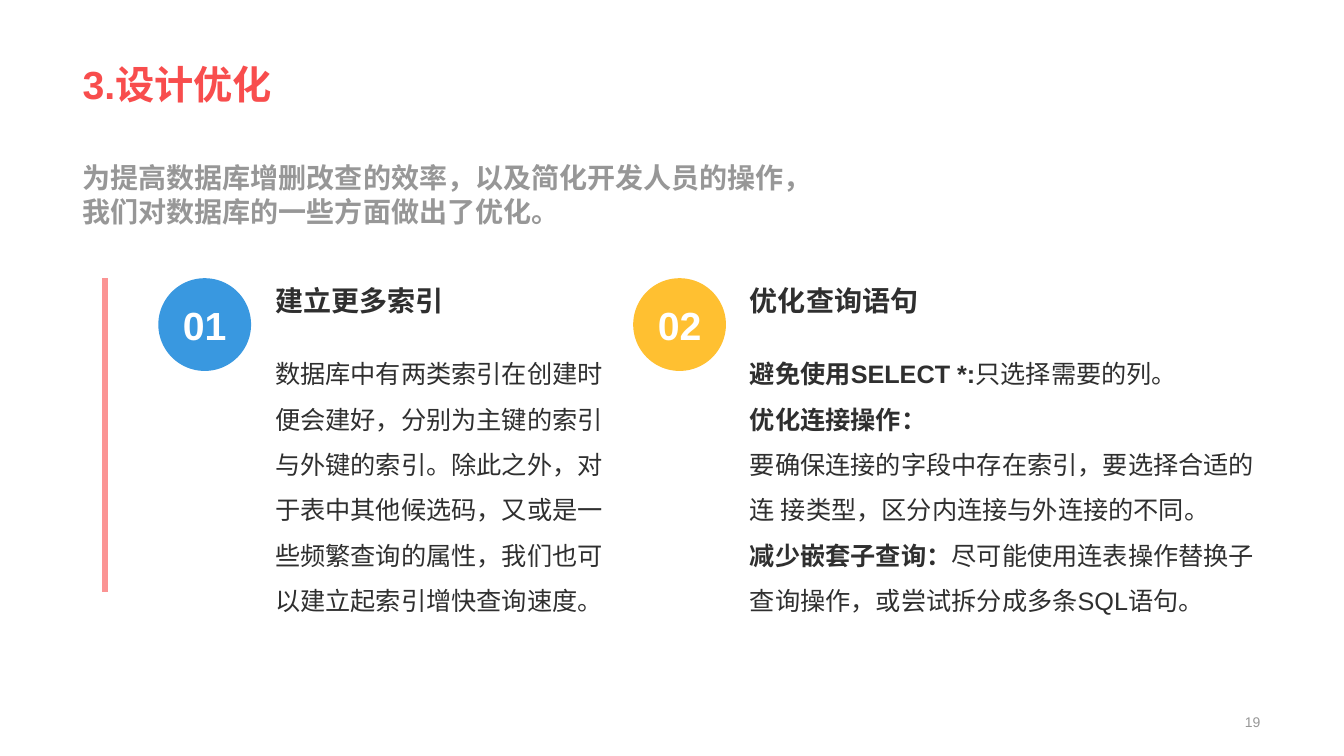
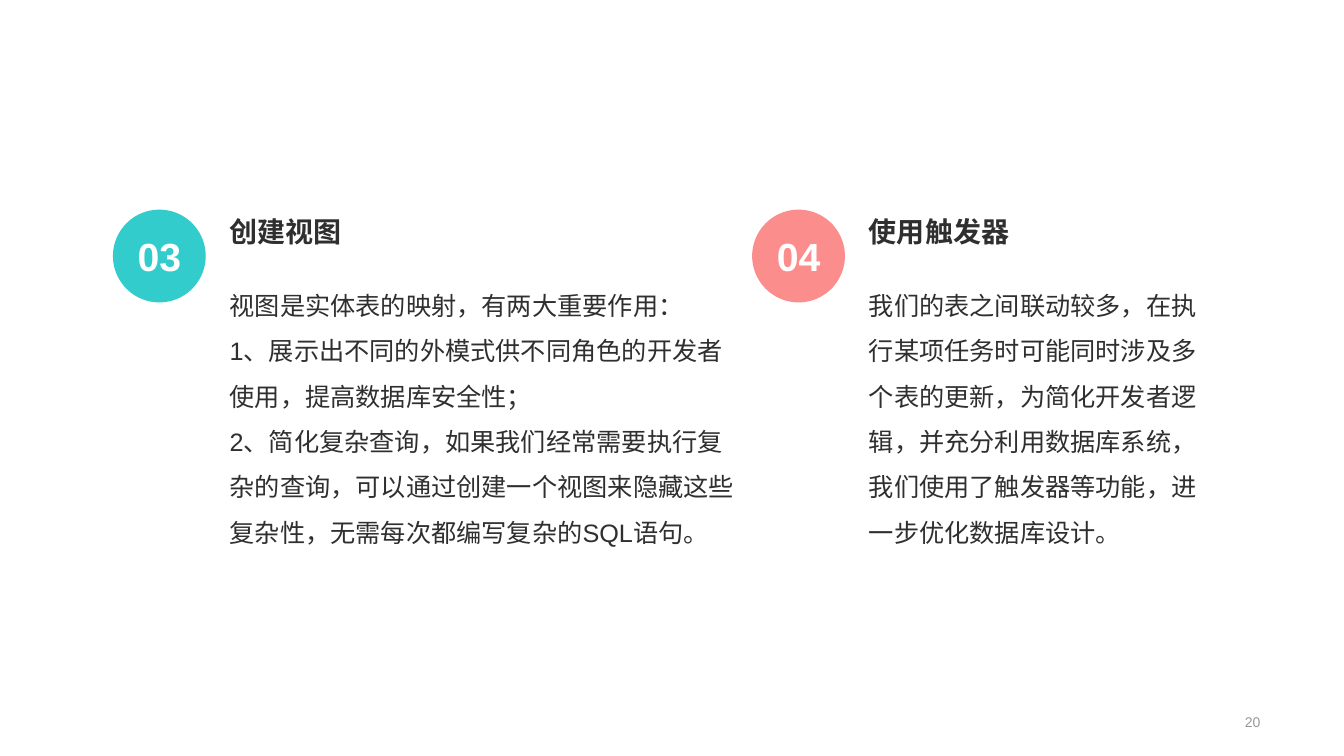
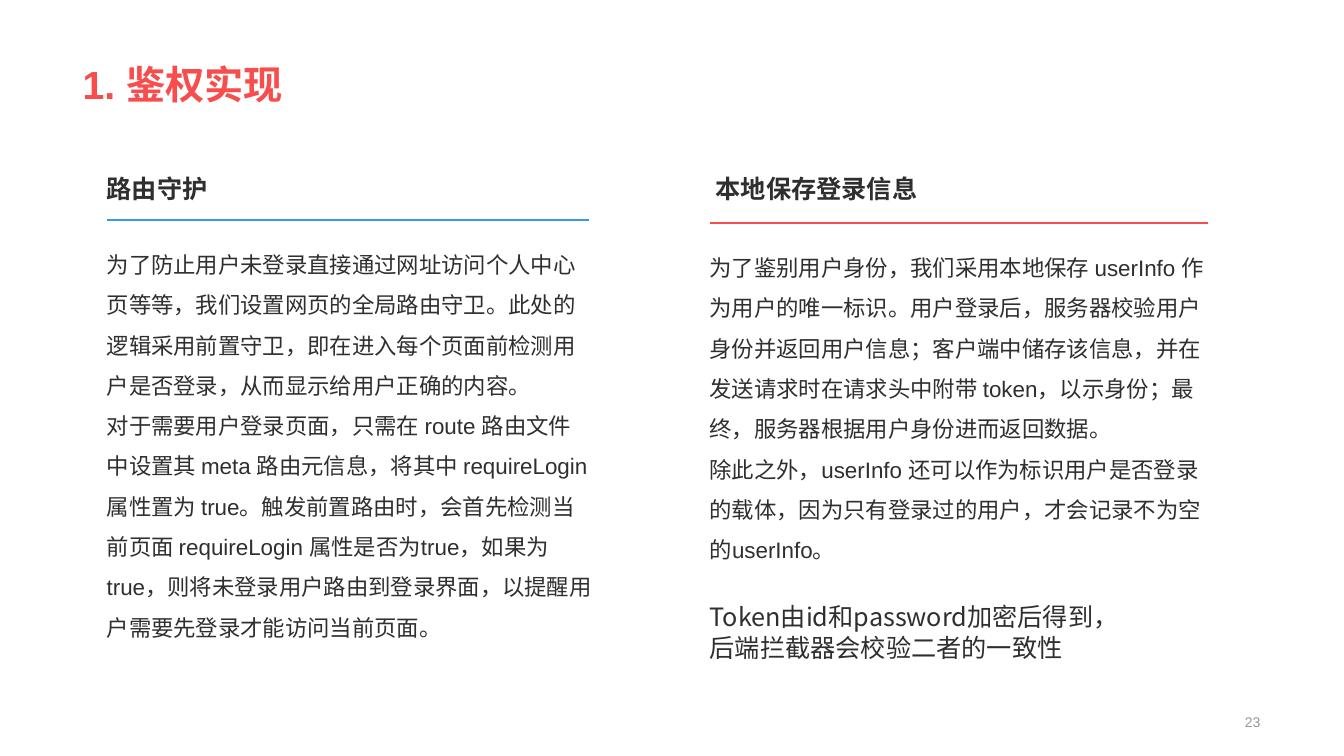
import pptx
import pptx.dml.color
import pptx.enum.shapes
import pptx.enum.text
import pptx.oxml.ns
import pptx.util
import lxml.etree

ALIGN = pptx.enum.text.PP_ALIGN
ANCHOR = pptx.enum.text.MSO_ANCHOR
TITLE_ONLY, BLANK = 5, 6

THEME = {
    "red": "F84D4D", "rose": "FB9494", "pink": "FB8D8D", "blue": "3998E0",
    "yellow": "FFC031", "teal": "33CCCC", "ink": "2F2F2F", "grey": "979797", "white": "FFFFFF",
    "latin": "Arial", "asian": "Noto Sans CJK SC",
}
STYLES = {
    "title": {"size": 28, "bold": True, "color": "red", "spacing": 0.9, "anchor": ANCHOR.BOTTOM},
    "lead": {"size": 20, "bold": True, "color": "grey", "anchor": ANCHOR.BOTTOM},
    "page": {"size": 10, "color": "grey", "align": ALIGN.RIGHT, "anchor": ANCHOR.MIDDLE},
    "badge": {"size": 28, "bold": True, "color": "white", "align": ALIGN.CENTER, "anchor": ANCHOR.MIDDLE},
    "item_heading": {"size": 20, "bold": True},
    "item_body": {"size": 18, "spacing": 1.5},
    "column_heading": {"size": 18, "bold": True},
    "column_body": {"size": 16, "spacing": 1.5},
    "remark": {"size": 18, "latin": THEME["asian"]},
}

MARGIN, CONTENT_WIDTH = 0.72, 11.88
BADGE_SIZE, ITEM_INDENT, ITEM_BODY_DROP = 0.92, 1.06, 0.6
COLUMN_TOP, TEXT_INSET = 1.67, 0.1

SLIDES = [
    {
        "page": "19",
        "title": "3.设计优化",
        "lead": "为提高数据库增删改查的效率，以及简化开发人员的操作，我们对数据库的一些方面做出了优化。",
        "bar": (1.04, 2.76, 1.04, 5.87),
        "item_top": 2.76,
        "items": [
            {"number": "01", "color": "blue", "left": 1.57, "width": 3.57, "heading": "建立更多索引", "body": [
                "数据库中有两类索引在创建时便会建好，分别为主键的索引与外键的索引。除此之外，对于表中其他候选码，又或是一些频繁查询的属性，我们也可以建立起索引增快查询速度。",
            ]},
            {"number": "02", "color": "yellow", "left": 6.28, "width": 5.26, "heading": "优化查询语句", "body": [
                ("避免使用SELECT *:", "只选择需要的列。"),
                ("优化连接操作：", ""),
                "要确保连接的字段中存在索引，要选择合适的连 接类型，区分内连接与外连接的不同。",
                ("减少嵌套子查询：", "尽可能使用连表操作替换子查询操作，或尝试拆分成多条SQL语句。"),
            ]},
        ],
    },
    {
        "page": "20",
        "item_top": 2.08,
        "items": [
            {"number": "03", "color": "teal", "left": 1.12, "width": 5.31, "heading": "创建视图", "body": [
                "视图是实体表的映射，有两大重要作用：",
                "1、展示出不同的外模式供不同角色的开发者使用，提高数据库安全性；",
                "2、简化复杂查询，如果我们经常需要执行复杂的查询，可以通过创建一个视图来隐藏这些复杂性，无需每次都编写复杂的SQL语句。",
            ]},
            {"number": "04", "color": "pink", "left": 7.46, "width": 3.63, "heading": "使用触发器", "body": [
                "我们的表之间联动较多，在执行某项任务时可能同时涉及多个表的更新，为简化开发者逻辑，并充分利用数据库系统，我们使用了触发器等功能，进一步优化数据库设计。",
            ]},
        ],
    },
    {
        "page": "23",
        "title": "1. 鉴权实现",
        "columns": [
            {"color": "blue", "left": 0.96, "width": 5.02, "rule_width": 4.78, "rule_top": 2.18,
             "heading_shift": 0, "heading": "路由守护", "body": [
                "为了防止用户未登录直接通过网址访问个人中心页等等，我们设置网页的全局路由守卫。此处的逻辑采用前置守卫，即在进入每个页面前检测用户是否登录，从而显示给用户正确的内容。",
                "对于需要用户登录页面，只需在 route 路由文件中设置其 meta 路由元信息，将其中 requireLogin 属性置为 true。触发前置路由时，会首先检测当前页面 requireLogin 属性是否为true，如果为 true，则将未登录用户路由到登录界面，以提醒用户需要先登录才能访问当前页面。",
            ]},
            {"color": "red", "left": 6.94, "width": 5.19, "rule_width": 4.94, "rule_top": 2.21,
             "heading_shift": 0.06, "heading": "本地保存登录信息", "body": [
                "为了鉴别用户身份，我们采用本地保存 userInfo 作为用户的唯一标识。用户登录后，服务器校验用户身份并返回用户信息；客户端中储存该信息，并在发送请求时在请求头中附带 token，以示身份；最终，服务器根据用户身份进而返回数据。",
                "除此之外，userInfo 还可以作为标识用户是否登录的载体，因为只有登录过的用户，才会记录不为空的userInfo。",
            ]},
        ],
        "remark": "Token由id和password加密后得到，后端拦截器会校验二者的一致性",
    },
]


def color(name):
    return pptx.dml.color.RGBColor.from_string(THEME[name])


def inches(*lengths):
    return [pptx.util.Inches(length) for length in lengths]


def set_all(target, values):
    for name, value in values.items():
        setattr(target, name, value)


def write(shape, paragraphs, style_name):
    style = STYLES[style_name]
    frame = shape.text_frame
    set_all(frame, {
        "word_wrap": True,
        "auto_size": pptx.enum.text.MSO_AUTO_SIZE.NONE,
        "vertical_anchor": style.get("anchor", ANCHOR.TOP),
    })
    for index, content in enumerate(paragraphs):
        paragraph = frame.add_paragraph() if index else frame.paragraphs[0]
        set_all(paragraph, {
            "alignment": style.get("align", ALIGN.LEFT),
            "line_spacing": style.get("spacing", 1.0),
        })
        strong, plain = content if isinstance(content, tuple) else ("", content)
        for text, bold in ((strong, True), (plain, style.get("bold", False))):
            if not text:
                continue
            run = paragraph.add_run()
            run.text = text
            set_all(run.font, {
                "size": pptx.util.Pt(style["size"]),
                "bold": bold,
                "name": style.get("latin", THEME["latin"]),
            })
            run.font.color.rgb = color(style.get("color", "ink"))
            asian = lxml.etree.SubElement(run._r.get_or_add_rPr(), pptx.oxml.ns.qn("a:ea"))
            asian.set("typeface", THEME["asian"])


def add_text(slide, box, paragraphs, style_name):
    shape = slide.shapes.add_textbox(*inches(*box))
    write(shape, paragraphs, style_name)


def add_line(slide, ends, color_name, width):
    line = slide.shapes.add_connector(pptx.enum.shapes.MSO_CONNECTOR.STRAIGHT, *inches(*ends))
    line.line.color.rgb = color(color_name)
    line.line.width = pptx.util.Pt(width)
    lxml.etree.SubElement(line._element.spPr, pptx.oxml.ns.qn("a:effectLst"))


def add_title(slide, text):
    title = slide.shapes.title
    set_all(title, dict(zip(("left", "top", "width", "height"), inches(MARGIN, 0, CONTENT_WIDTH, 1.12))))
    write(title, [text], "title")


def add_item(slide, item, top):
    text_left = item["left"] + ITEM_INDENT
    add_text(slide, (text_left, top + ITEM_BODY_DROP, item["width"], 2.77), item["body"], "item_body")
    add_text(slide, (text_left, top, 3.23, 0.44), [item["heading"]], "item_heading")
    badge = slide.shapes.add_shape(
        pptx.enum.shapes.MSO_SHAPE.OVAL, *inches(item["left"], top, BADGE_SIZE, BADGE_SIZE))
    badge.shadow.inherit = False
    badge.fill.solid()
    badge.fill.fore_color.rgb = color(item["color"])
    badge.line.fill.background()
    write(badge, [item["number"]], "badge")


def add_column(slide, column):
    left, width, rule_top = column["left"], column["width"], column["rule_top"]
    rule_left = left + TEXT_INSET
    add_text(slide, (left + column["heading_shift"], COLUMN_TOP, width, 0.45), [column["heading"]], "column_heading")
    add_line(slide, (rule_left, rule_top, rule_left + column["rule_width"], rule_top), column["color"], 1.5)
    body_top = rule_top + 0.13
    add_text(slide, (left, body_top, width, 0.1 + 0.4 * 10), column["body"], "column_body")


presentation = pptx.Presentation()
set_all(presentation, dict(zip(("slide_width", "slide_height"), inches(13.33, 7.5))))

for content in SLIDES:
    layout = TITLE_ONLY if "title" in content else BLANK
    slide = presentation.slides.add_slide(presentation.slide_layouts[layout])
    if "title" in content:
        add_title(slide, content["title"])
    if "lead" in content:
        add_text(slide, (MARGIN, 1.11, 7.59, 1.2), [content["lead"]], "lead")
    if "bar" in content:
        add_line(slide, content["bar"], "rose", 4)
    for item in content.get("items", []):
        add_item(slide, item, content["item_top"])
    for column in content.get("columns", []):
        add_column(slide, column)
    if "remark" in content:
        add_text(slide, (6.94, 5.92, 4.1, 0.71), [content["remark"]], "remark")
    add_text(slide, (9.69, 7.04, 2.91, 0.24), [content["page"]], "page")

presentation.save("out.pptx")
